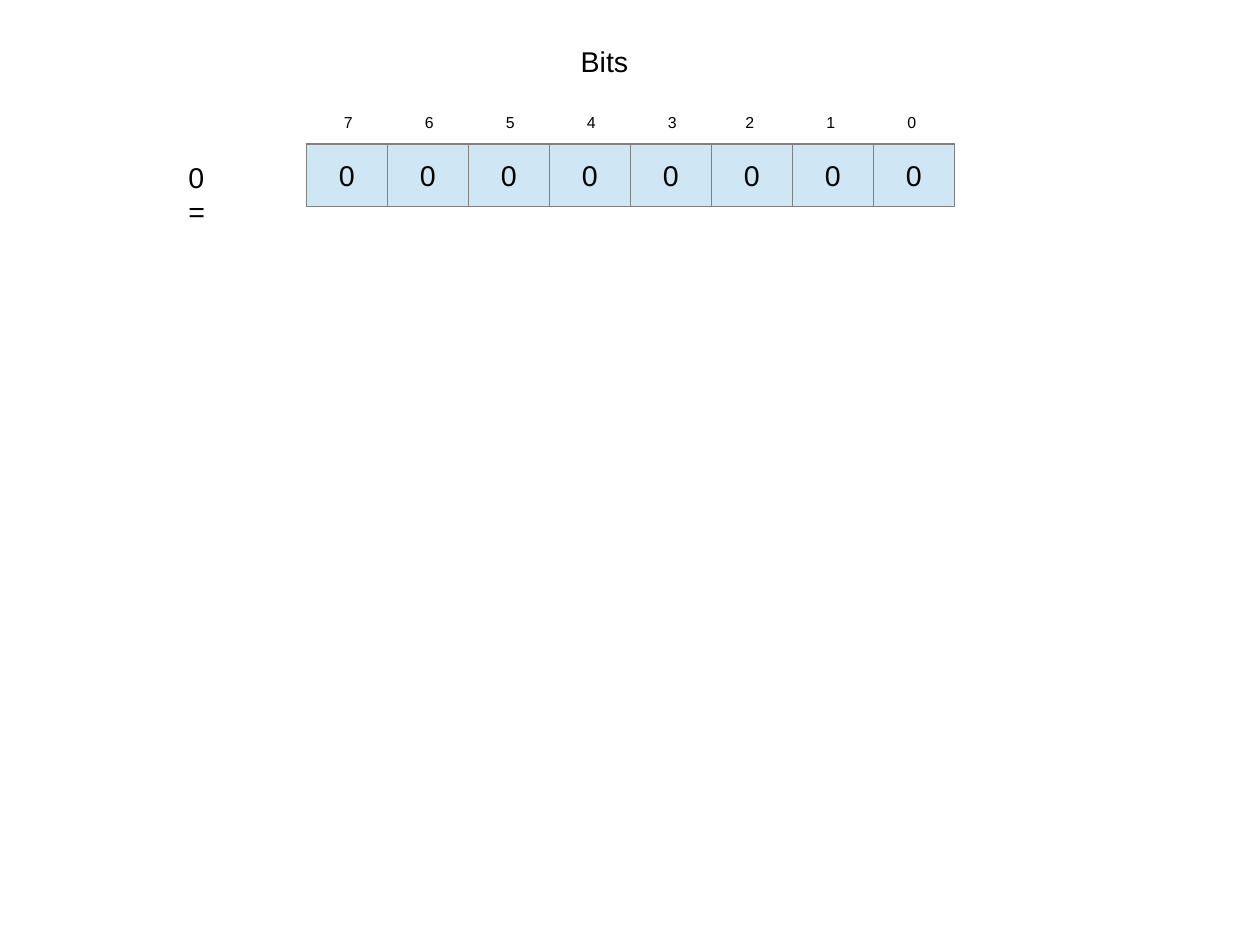
from dataclasses import dataclass

from pptx import Presentation
from pptx.dml.color import RGBColor
from pptx.enum import shapes, text
from pptx.oxml.ns import qn
from pptx.util import Inches, Pt

CM_PER_INCH = 2.54
FONT = "Arial"
BITS = 8
ROW_LEFT, ROW_TOP, ROW_HEIGHT = 2.68, 1.26, 0.55
CELL_WIDTH = 5.67 / BITS


@dataclass
class Label:
    text: str
    left: float
    top: float
    width: float
    height: float
    size: int = 18
    align: text.PP_ALIGN = text.PP_ALIGN.LEFT


def paint(color_format, color: str) -> None:
    color_format.rgb = RGBColor.from_string(color)


def write(sp, content: str, size: int, align: text.PP_ALIGN):
    """Fill a shape with one black paragraph and return that paragraph."""
    tf = sp.text_frame
    tf.text = content
    tf.margin_left = tf.margin_right = Inches(0.1)
    tf.margin_top = tf.margin_bottom = Inches(0.05)
    p = tf.paragraphs[0]
    p.alignment = align
    p.font.name = FONT
    p.font.size = Pt(size)
    paint(p.font.color, "000000")
    return p


def format_label(sp, label: Label):
    """Place and format a text box or placeholder; return its paragraph."""
    sp.left, sp.top = Inches(label.left), Inches(label.top)
    sp.width, sp.height = Inches(label.width), Inches(label.height)
    p = write(sp, label.text, label.size, label.align)
    tf = sp.text_frame
    tf.vertical_anchor = text.MSO_ANCHOR.TOP
    tf.word_wrap = False
    tf.auto_size = text.MSO_AUTO_SIZE.SHAPE_TO_FIT_TEXT
    return p


def add_label(s, label: Label):
    return format_label(s.shapes.add_textbox(0, 0, 0, 0), label)


def add_tab_stop(p, position: float) -> None:
    p_pr = p._p.get_or_add_pPr()
    tabs = p_pr.makeelement(qn("a:tabLst"), {})
    tab = tabs.makeelement(qn("a:tab"), {"pos": str(Inches(position)), "algn": "l"})
    tabs.append(tab)
    p_pr.insert(0, tabs)


def add_bit_cell(s, left: float, value: str) -> None:
    sp = s.shapes.add_shape(
        shapes.MSO_SHAPE.RECTANGLE,
        Inches(left), Inches(ROW_TOP), Inches(CELL_WIDTH), Inches(ROW_HEIGHT),
    )
    sp.shadow.inherit = False
    sp.fill.solid()
    paint(sp.fill.fore_color, "CFE7F5")
    paint(sp.line.color, "808080")
    sp.line.width = Pt(0)
    write(sp, value, 18, text.PP_ALIGN.CENTER)
    sp.text_frame.vertical_anchor = text.MSO_ANCHOR.MIDDLE


def main() -> None:
    prs = Presentation()
    prs.slide_width = Inches(28 / CM_PER_INCH)
    prs.slide_height = Inches(21 / CM_PER_INCH)
    s = prs.slides.add_slide(prs.slide_layouts[5])
    format_label(s.shapes.title, Label("Bits", 4.98, 0.33, 0.66, 0.38))

    for column in range(BITS):
        bit = BITS - 1 - column
        left = ROW_LEFT + column * CELL_WIDTH
        add_bit_cell(s, left, "0")
        inset = 0.23 if bit > 2 else 0.2
        add_label(s, Label(str(bit), left + inset, 0.94, 0.27, 0.25, 10,
                           text.PP_ALIGN.CENTER))

    equation = add_label(s, Label("0\t=", 1.55, 1.35, 0.83, 0.38))
    add_tab_stop(equation, 0.49)
    prs.save("out.pptx")


if __name__ == "__main__":
    main()
